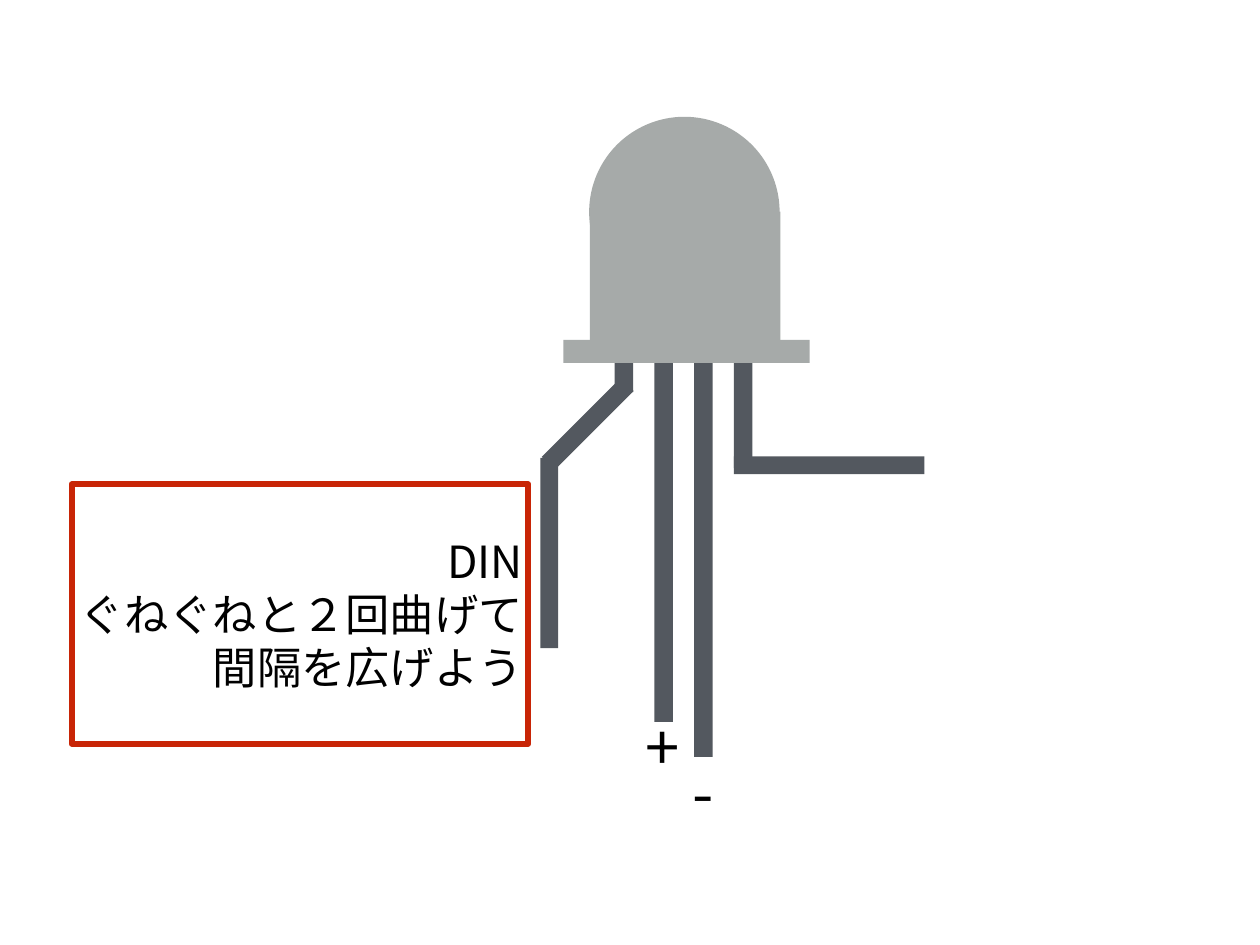
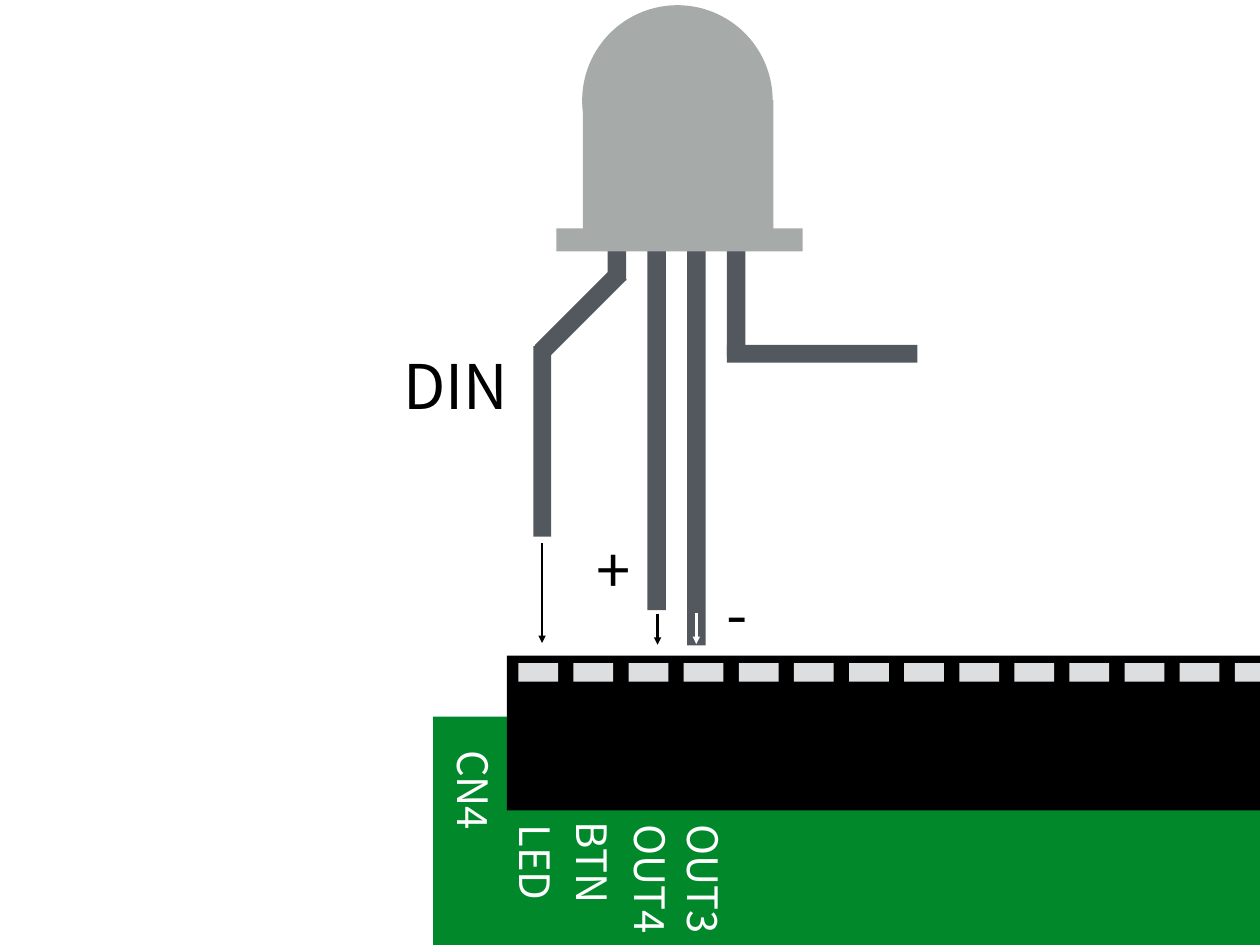
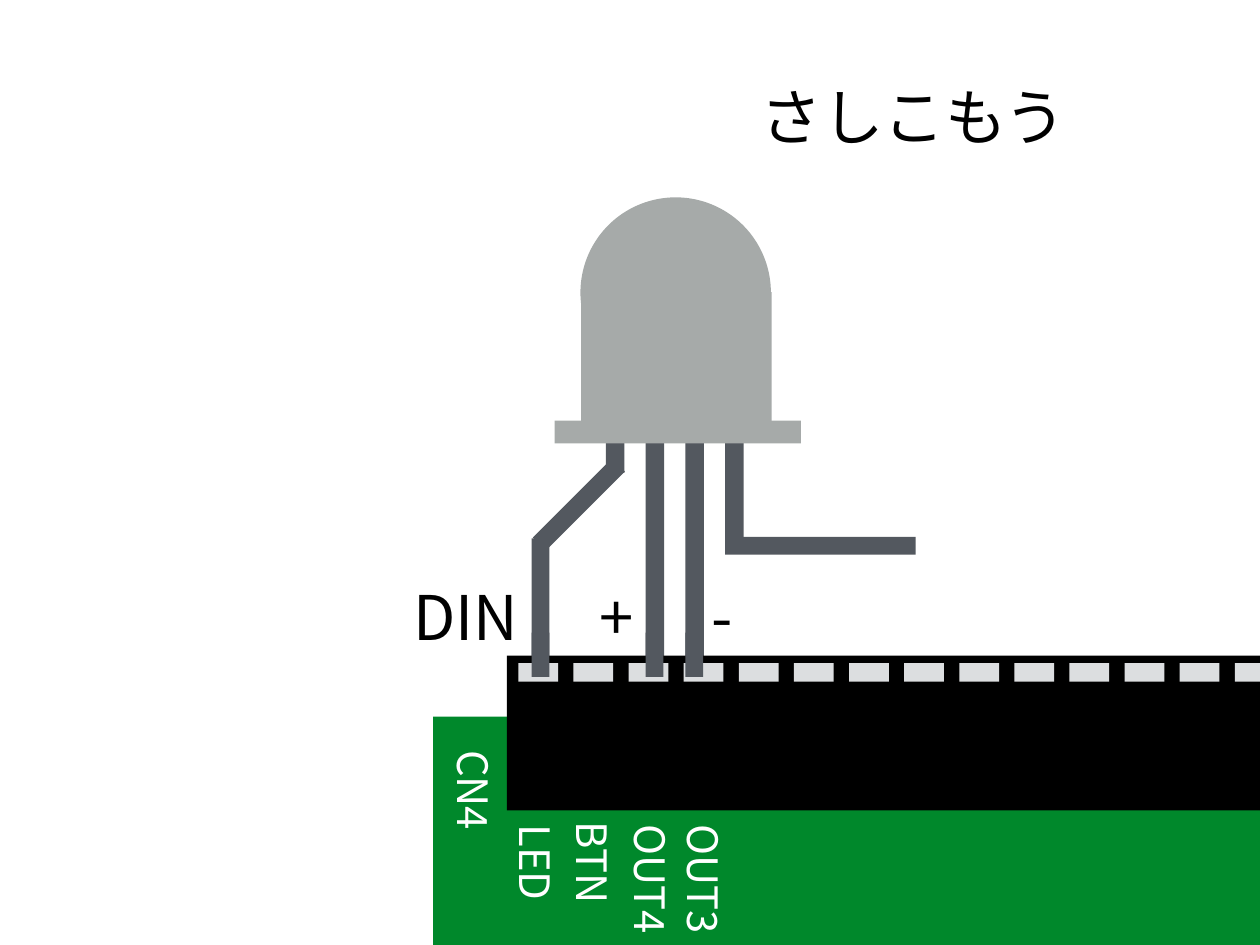
from lxml.etree import SubElement
from pptx import Presentation
from pptx.dml.color import RGBColor
from pptx.enum.shapes import MSO_CONNECTOR, MSO_SHAPE as SHAPE
from pptx.enum.text import MSO_ANCHOR, MSO_AUTO_SIZE, PP_ALIGN
from pptx.oxml.ns import qn
from pptx.util import Cm, Pt

BLACK = RGBColor(0x00, 0x00, 0x00)
WHITE = RGBColor(0xFF, 0xFF, 0xFF)
RED = RGBColor(0xC8, 0x25, 0x06)
GREEN = RGBColor(0x00, 0x88, 0x2B)
LEAD_GRAY = RGBColor(0x53, 0x58, 0x5F)
LENS_GRAY = RGBColor(0xA6, 0xAA, 0xA9)
PAD_GRAY = RGBColor(0xDC, 0xDE, 0xE0)
FONT = "Noto Sans CJK JP"

# All lengths are centimetres.
SLIDE_W, SLIDE_H = 36.12, 27.1
LABEL_H, PIN_NAME_H = 2.06, 1.47
LABEL_W = {"-": 0.94, "+": 1.47, "DIN": 3.45, "さしこもう": 9.14}

# LED parts, measured from the left of the flange and the top of the dome
LEAD_W, BENT_W, BEND_LEN = 0.53, 0.51, 5.46
LEAD_LEFT, LEAD_PITCH = 1.47, 1.14
LEADS = [(4.62, 3.28), (5.54, 11.81), (6.55, 11.81), (4.62, BEND_LEN)]  # top, length
LEAD_X = [LEAD_LEFT + i * LEAD_PITCH for i in range(len(LEADS))]
DIN_X = -0.66
LENS = [
    (SHAPE.OVAL, (0.74, 0, 5.46, 5.46)),
    (SHAPE.RECTANGLE, (0.76, 2.72, 5.46, 4.32)),
    (SHAPE.RECTANGLE, (0, 6.4, 7.06, 0.66)),
]
BENDS = [  # box, rotation
    ((LEAD_X[3], 9.74, BEND_LEN, BENT_W), 0),
    ((0.43, 7.21, LEAD_W, 3.2), 45),
    ((DIN_X, 9.78, BENT_W, BEND_LEN), 0),
]

BOARD = (12.42, 20.55, 23.83, 6.93)
SOCKET = (14.53, 18.8, 21.87, 4.44)
PAD_LEFT, PAD_TOP, PAD_W, PAD_H = 14.86, 19.02, 1.14, 0.53
PAD_PITCH, PAD_COUNT = 1.58, 14
PIN_NAMES = [  # text, centre x, centre y, width
    ("LED", 15.38, 24.74, 2.72),
    ("OUT4", 18.67, 25.22, 3.76),
    ("OUT3", 20.19, 25.22, 3.76),
    ("BTN", 17.01, 24.74, 2.87),
    ("CN4", 13.59, 22.66, 2.95),
]
TIP_TOP, TIP_H = 18.14, 1.27

CALLOUT = (2.06, 13.89, 13.08, 7.44)
CALLOUT_LINES = ["DIN", "ぐねぐねと２回曲げて", "間隔を広げよう"]

STEPS = [
    {"led": (16.15, 3.35), "labels": [("-", 19.69, 21.69), ("+", 18.26, 20.37)],
     "callout": True},
    {"led": (15.95, 0.15),
     "labels": [("-", 20.65, 16.54), ("+", 16.87, 15.29), ("DIN", 11.35, 10.01)],
     "board": True,
     "arrows": [(15.54, 15.57, 18.44, BLACK), (18.85, 17.6, 18.49, BLACK),
                (19.96, 17.58, 18.47, WHITE)]},
    {"led": (15.9, 5.66),
     "labels": [("-", 20.24, 16.64), ("+", 16.94, 16.64), ("DIN", 11.63, 16.64),
                ("さしこもう", 21.62, 2.29)],
     "board": True, "plugged": True},
]


def add_block(shapes, box, fill=None, kind=SHAPE.RECTANGLE, rotation=0):
    block = shapes.add_shape(kind, *map(Cm, box))
    block.shadow.inherit = False
    block.rotation = rotation
    block.line.fill.background()
    if fill is None:
        block.fill.background()
    else:
        block.fill.solid()
        block.fill.fore_color.rgb = fill
    return block


def write(shape, lines, size, color, align, wrap):
    frame = shape.text_frame
    frame.margin_left = frame.margin_right = Cm(0.15)
    frame.margin_top = frame.margin_bottom = Cm(0.15)
    frame.vertical_anchor = MSO_ANCHOR.MIDDLE
    frame.word_wrap = wrap
    frame.auto_size = MSO_AUTO_SIZE.SHAPE_TO_FIT_TEXT
    for i, line in enumerate(lines):
        paragraph = frame.add_paragraph() if i else frame.paragraphs[0]
        paragraph.text = line
        paragraph.alignment = align
        font = paragraph.font
        font.size, font.name, font.color.rgb = Pt(size), FONT, color
        defaults = paragraph._p.find(qn("a:pPr")).find(qn("a:defRPr"))
        SubElement(defaults, qn("a:ea")).set("typeface", FONT)


def add_label(shapes, text, box, size=50, color=BLACK, rotation=0):
    label = shapes.add_textbox(*map(Cm, box))
    label.rotation = rotation
    write(label, [text], size, color, PP_ALIGN.CENTER, False)


def add_led(slide, x, y):
    shapes = slide.shapes.add_group_shape().shapes

    def add_part(box, *style):
        left, top, width, height = box
        add_block(shapes, (x + left, y + top, width, height), *style)

    for left, (top, length) in zip(LEAD_X, LEADS):
        add_part((left, top, LEAD_W, length), LEAD_GRAY)
    for kind, box in LENS:
        add_part(box, LENS_GRAY, kind)
    for box, rotation in BENDS:
        add_part(box, LEAD_GRAY, SHAPE.RECTANGLE, rotation)


def add_board(slide):
    shapes = slide.shapes.add_group_shape().shapes
    add_block(shapes, BOARD, GREEN)
    add_block(shapes, SOCKET, BLACK)
    for i in range(PAD_COUNT):
        add_block(shapes, (PAD_LEFT + i * PAD_PITCH, PAD_TOP, PAD_W, PAD_H), PAD_GRAY)
    for text, x, y, width in PIN_NAMES:
        box = (x - width / 2, y - PIN_NAME_H / 2, width, PIN_NAME_H)
        add_label(shapes, text, box, 34, WHITE, 90)


def add_arrow(slide, x, top, bottom, color):
    arrow = slide.shapes.add_connector(
        MSO_CONNECTOR.STRAIGHT, Cm(x), Cm(top), Cm(x), Cm(bottom))
    arrow.line.color.rgb = color
    arrow.line.width = Pt(2)
    SubElement(arrow.line._get_or_add_ln(), qn("a:tailEnd")).set("type", "triangle")
    SubElement(arrow._element.spPr, qn("a:effectLst"))


def add_callout(slide):
    callout = add_block(slide.shapes, CALLOUT)
    callout.line.color.rgb = RED
    callout.line.width = Pt(5)
    write(callout, CALLOUT_LINES, 36, BLACK, PP_ALIGN.RIGHT, True)


def add_step(deck, step):
    slide = deck.slides.add_slide(deck.slide_layouts[6])
    led_x, led_y = step["led"]
    if step.get("callout"):
        add_callout(slide)
    add_led(slide, led_x, led_y)
    for text, left, top in step["labels"]:
        add_label(slide.shapes, text, (left, top, LABEL_W[text], LABEL_H))
    if step.get("board"):
        add_board(slide)
    for arrow in step.get("arrows", []):
        add_arrow(slide, *arrow)
    if step.get("plugged"):
        for left in (DIN_X, LEAD_X[1], LEAD_X[2]):
            add_block(slide.shapes, (led_x + left, TIP_TOP, BENT_W, TIP_H), LEAD_GRAY)


def main():
    deck = Presentation()
    deck.slide_width, deck.slide_height = Cm(SLIDE_W), Cm(SLIDE_H)
    for step in STEPS:
        add_step(deck, step)
    deck.save("out.pptx")


if __name__ == "__main__":
    main()
